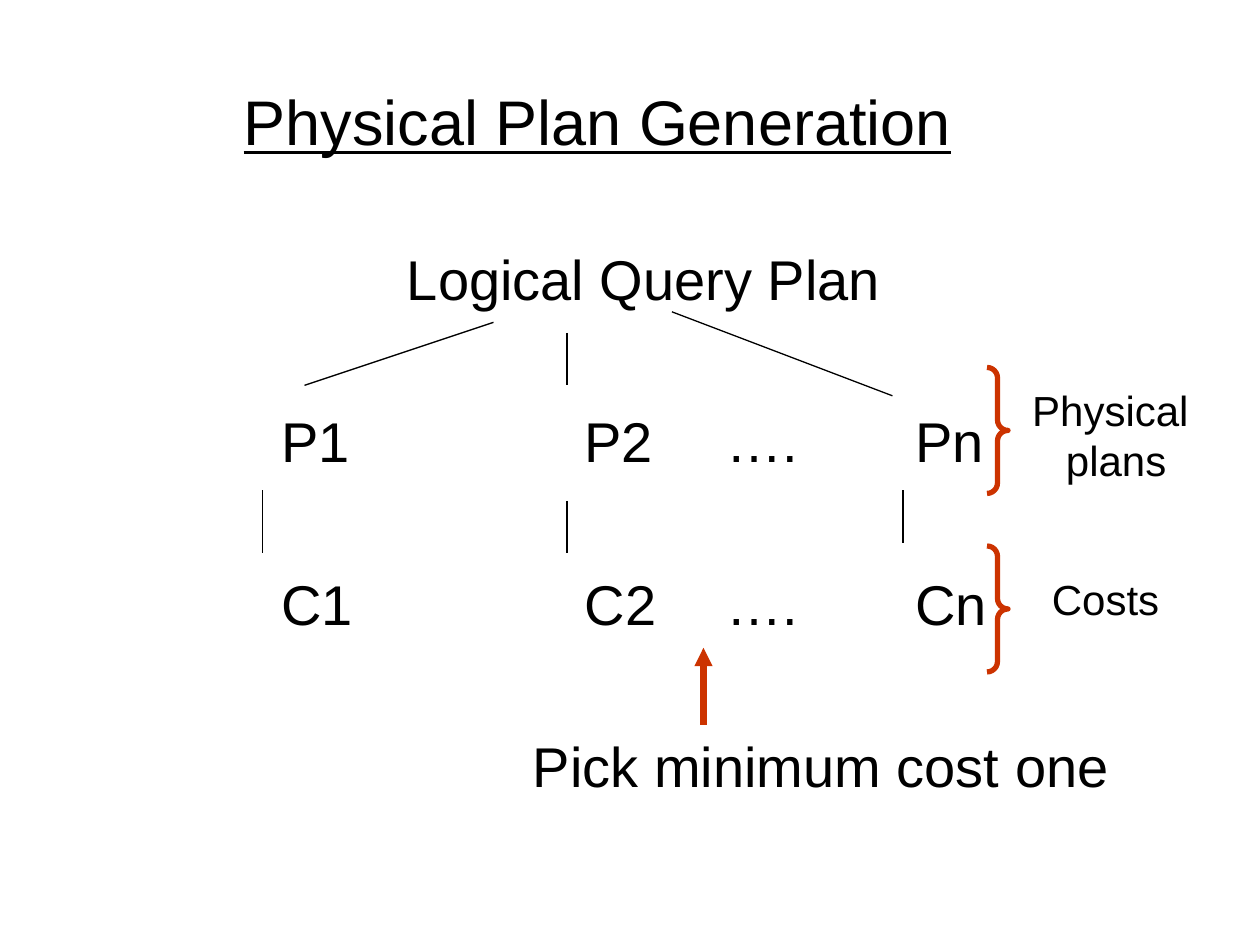
from dataclasses import dataclass

from lxml.etree import SubElement
from pptx import Presentation
from pptx.dml.color import RGBColor
from pptx.enum.shapes import MSO_CONNECTOR as Connector, MSO_SHAPE as Shape
from pptx.enum.text import MSO_ANCHOR as Anchor, MSO_AUTO_SIZE as AutoSize, PP_ALIGN as Align
from pptx.oxml.ns import qn
from pptx.util import Inches, Pt


@dataclass(frozen=True)
class Theme:
    font: str = "Arial"
    ink: RGBColor = RGBColor(0x00, 0x00, 0x00)
    accent: RGBColor = RGBColor(0xCC, 0x33, 0x00)
    title_size: float = 36
    body_size: float = 32
    label_size: float = 24
    row_gap: float = 54.3
    thin: float = 0.75
    brace: float = 3
    arrow: float = 3.5


def write(paragraph, text, *, font, size, color, underline=None,
          align=Align.LEFT, before=0, margin=None, start=0):
    """Fill one paragraph; margin and first-line start are in inches."""
    paragraph.text = text
    paragraph.alignment = align
    paragraph.space_before = Pt(before)
    if margin is not None:
        properties = paragraph._p.get_or_add_pPr()
        properties.set("marL", str(Inches(margin)))
        properties.set("indent", str(Inches(start - margin)))
        SubElement(properties, qn("a:buNone"))
    for run in paragraph.runs:
        run.font.name = font
        run.font.size = Pt(size)
        run.font.color.rgb = color
        run.font.underline = underline


class SlideBuilder:
    """Places elements on a grid of 120 columns by 90 rows."""

    COLUMNS, ROWS = 120, 90

    def __init__(self, presentation, theme):
        self.theme = theme
        self.cell_width = presentation.slide_width / self.COLUMNS
        self.cell_height = presentation.slide_height / self.ROWS
        self.slide = presentation.slides.add_slide(presentation.slide_layouts[1])

    def point(self, column, row):
        return round(column * self.cell_width), round(row * self.cell_height)

    def box(self, column, row, columns, rows):
        return *self.point(column, row), *self.point(columns, rows)

    def format(self, size):
        return dict(font=self.theme.font, color=self.theme.ink, size=size)

    def place(self, placeholder, area, anchor):
        (placeholder.left, placeholder.top,
         placeholder.width, placeholder.height) = self.box(*area)
        frame = placeholder.text_frame
        frame.auto_size = AutoSize.NONE
        frame.word_wrap = True
        frame.vertical_anchor = anchor
        frame.margin_left = frame.margin_right = Inches(0.1)
        frame.margin_top = frame.margin_bottom = Inches(0.05)
        return frame

    def title(self, text, area):
        frame = self.place(self.slide.shapes.title, area, Anchor.MIDDLE)
        write(frame.paragraphs[0], text, underline=True,
              **self.format(self.theme.title_size))

    def body(self, rows, area):
        frame = self.place(self.slide.placeholders[1], area, Anchor.TOP)
        for index, (text, margin, start) in enumerate(rows):
            paragraph = frame.add_paragraph() if index else frame.paragraphs[0]
            write(paragraph, text, margin=margin, start=start,
                  before=self.theme.row_gap if index else 0,
                  **self.format(self.theme.body_size))

    def label(self, lines, area, align):
        frame = self.slide.shapes.add_textbox(*self.box(*area)).text_frame
        frame.word_wrap = False
        frame.auto_size = AutoSize.SHAPE_TO_FIT_TEXT
        for index, text in enumerate(lines):
            paragraph = frame.add_paragraph() if index else frame.paragraphs[0]
            write(paragraph, text, align=align, **self.format(self.theme.label_size))

    def line(self, start, end):
        connector = self.slide.shapes.add_connector(
            Connector.STRAIGHT, *self.point(*start), *self.point(*end))
        connector.line.color.rgb = self.theme.ink
        connector.line.width = Pt(self.theme.thin)
        SubElement(connector._element.spPr, qn("a:effectLst"))
        return connector

    def arrow(self, start, end):
        line = self.line(start, end).line
        line.color.rgb = self.theme.accent
        line.width = Pt(self.theme.arrow)
        SubElement(line._get_or_add_ln(), qn("a:tailEnd"), type="triangle")

    def brace(self, area):
        shape = self.slide.shapes.add_shape(Shape.RIGHT_BRACE, *self.box(*area))
        shape.shadow.inherit = False
        shape.adjustments[0] = 0.5
        shape.fill.background()
        shape.line.color.rgb = self.theme.accent
        shape.line.width = Pt(self.theme.brace)


def main():
    presentation = Presentation()
    presentation.slide_width, presentation.slide_height = Inches(10), Inches(7.5)
    builder = SlideBuilder(presentation, Theme())

    # Title and the rows of the plan tree; default tabs count from the margin
    builder.title("Physical Plan Generation", (22, 4, 102, 15))
    builder.body([
        ("Logical Query Plan", 2.38, 2.38),
        *((f"{name}1\t\t\t\t{name}2\t ….\t\t {name}n", 0.29, 1.38) for name in "PC"),
        ("Pick minimum cost one", 3.38, 3.38),
    ], (9, 22.7, 108, 54))

    # Plans to costs
    for column, top, bottom in ((25, 46.7, 52.7), (54, 47.7, 52.7), (86, 46.7, 51.7)):
        builder.line((column, top), (column, bottom))

    # Cheapest plan
    builder.arrow((67, 69), (67, 61.7))

    # Logical plan to physical plans
    for start, end in (((54, 31.7), (54, 36.7)),
                       ((47, 30.7), (29, 36.7)),
                       ((64, 29.7), (85, 37.7))):
        builder.line(start, end)

    # Row names and their braces
    builder.label(["Physical ", "plans"], (97.1, 36, 18.4, 10.8), Align.CENTER)
    builder.label(["Costs"], (99, 54, 12.6, 6), Align.LEFT)
    for row in (35, 52):
        builder.brace((94, row, 2, 12))

    presentation.save("out.pptx")


if __name__ == "__main__":
    main()
